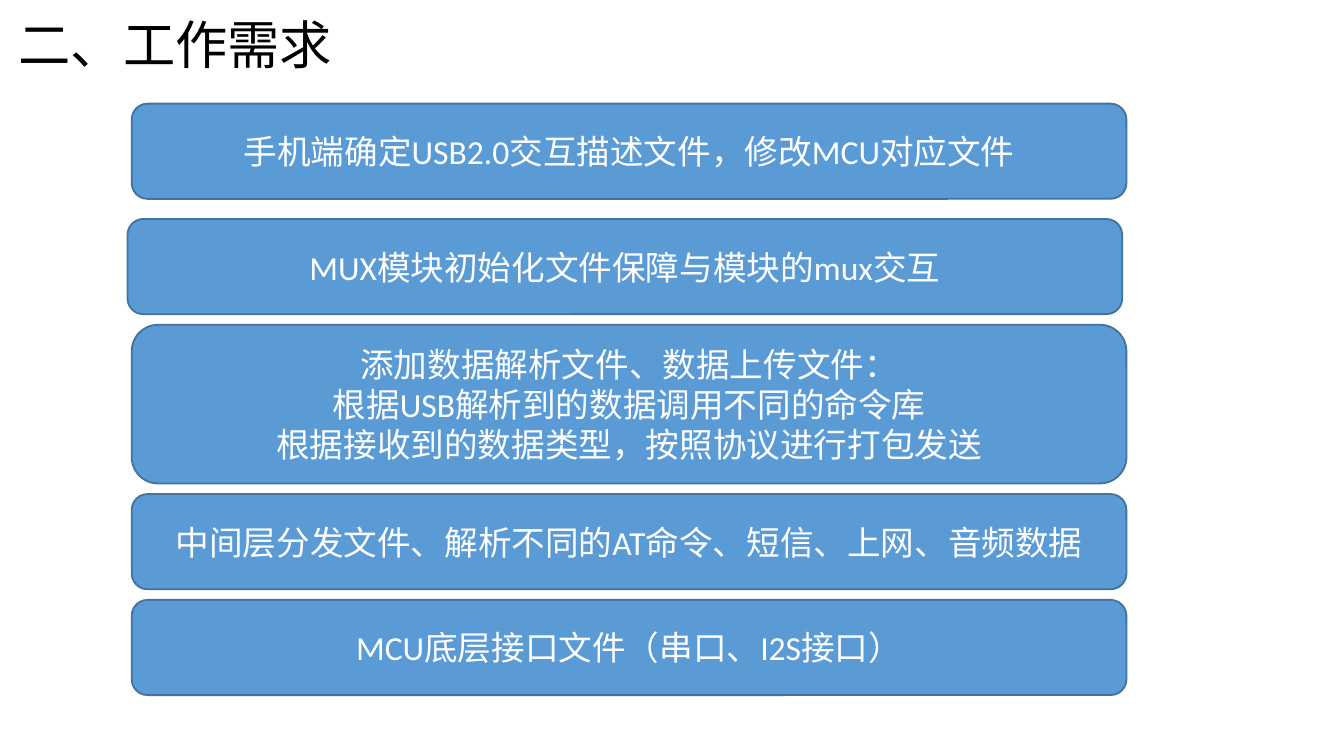
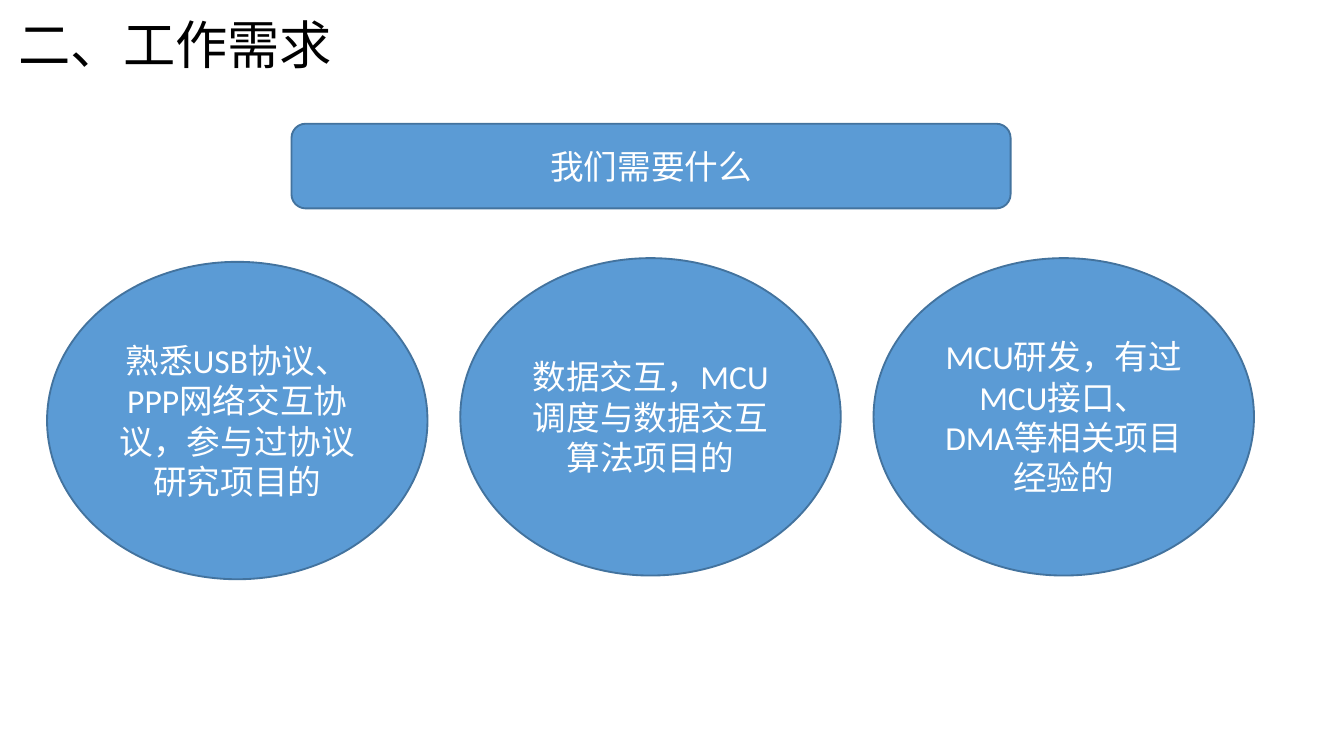
from dataclasses import dataclass

from pptx import Presentation
from pptx.dml.color import RGBColor
from pptx.enum.shapes import MSO_SHAPE as Shape
from pptx.enum.text import MSO_ANCHOR as Anchor, MSO_AUTO_SIZE as AutoSize, PP_ALIGN as Align
from pptx.presentation import Presentation as Deck
from pptx.slide import Slide
from pptx.text.text import TextFrame
from pptx.util import Cm, Pt


@dataclass(frozen=True)
class Theme:
    font: str = "Calibri"
    title_size: int = 28
    body_size: int = 18
    line_width: int = 1
    title: RGBColor = RGBColor(0x00, 0x00, 0x00)
    text: RGBColor = RGBColor(0xFF, 0xFF, 0xFF)
    fill: RGBColor = RGBColor(0x5B, 0x9B, 0xD5)
    line: RGBColor = RGBColor(0x43, 0x73, 0x9E)


@dataclass(frozen=True)
class Block:
    """A filled shape with centred text; lengths are in centimetres."""
    text: str
    left: float
    top: float
    width: float
    height: float
    shape: Shape = Shape.ROUNDED_RECTANGLE


@dataclass(frozen=True)
class Task:
    text: str
    left: float = 2.49
    height: float = 1.8
    gap_after: float = 0.2


THEME = Theme()
TITLE = "二、工作需求"
TASK_TOP, TASK_WIDTH = 1.96, 18.8
TASKS = [
    Task("手机端确定USB2.0交互描述文件，修改MCU对应文件", gap_after=0.38),
    Task("MUX模块初始化文件保障与模块的mux交互", left=2.41),
    Task("添加数据解析文件、数据上传文件：\n"
         "根据USB解析到的数据调用不同的命令库\n"
         "根据接收到的数据类型，按照协议进行打包发送", height=3.0),
    Task("中间层分发文件、解析不同的AT命令、短信、上网、音频数据"),
    Task("MCU底层接口文件（串口、I2S接口）"),
]
QUESTION = Block("我们需要什么", 5.51, 2.34, 13.59, 1.6)
SKILL_LEFT, SKILL_PITCH, SKILL_WIDTH, SKILL_HEIGHT = 0.89, 7.81, 7.19, 6.0
SKILLS = [
    ("熟悉USB协议、PPP网络交互协议，参与过协议研究项目的", 4.95),
    ("数据交互，MCU调度与数据交互算法项目的", 4.88),
    ("MCU研发，有过MCU接口、\nDMA等相关项目经验的", 4.88),
]


def format_text(tf: TextFrame, size: int, color: RGBColor, align: Align) -> None:
    for p in tf.paragraphs:
        p.alignment = align
        for r in p.runs:
            r.font.name = THEME.font
            r.font.size = Pt(size)
            r.font.color.rgb = color


def add_titled_slide(prs: Deck) -> Slide:
    s = prs.slides.add_slide(prs.slide_layouts.get_by_name("Title Only"))
    sp = s.shapes.title
    sp.left, sp.top, sp.width, sp.height = Cm(0.1), Cm(0.1), Cm(6.45), Cm(1.45)
    tf = sp.text_frame
    tf.text = TITLE
    tf.auto_size = AutoSize.NONE
    tf.vertical_anchor = Anchor.TOP
    format_text(tf, THEME.title_size, THEME.title, Align.LEFT)
    return s


def add_block(s: Slide, block: Block) -> None:
    sp = s.shapes.add_shape(block.shape, Cm(block.left), Cm(block.top),
                            Cm(block.width), Cm(block.height))
    sp.shadow.inherit = False
    sp.fill.solid()
    sp.fill.fore_color.rgb = THEME.fill
    sp.line.color.rgb = THEME.line
    sp.line.width = Pt(THEME.line_width)
    tf = sp.text_frame
    tf.text = block.text
    tf.word_wrap = True
    tf.vertical_anchor = Anchor.MIDDLE
    format_text(tf, THEME.body_size, THEME.text, Align.CENTER)


def build_tasks(prs: Deck) -> None:
    s = add_titled_slide(prs)
    top = TASK_TOP
    for task in TASKS:
        add_block(s, Block(task.text, task.left, top, TASK_WIDTH, task.height))
        top += task.height + task.gap_after


def build_skills(prs: Deck) -> None:
    s = add_titled_slide(prs)
    add_block(s, QUESTION)
    for i, (text, top) in enumerate(SKILLS):
        add_block(s, Block(text, SKILL_LEFT + i * SKILL_PITCH, top,
                           SKILL_WIDTH, SKILL_HEIGHT, Shape.OVAL))


def main() -> None:
    prs = Presentation()
    prs.slide_width, prs.slide_height = Cm(25.4), Cm(14.29)
    build_tasks(prs)
    build_skills(prs)
    prs.save("out.pptx")


if __name__ == "__main__":
    main()
